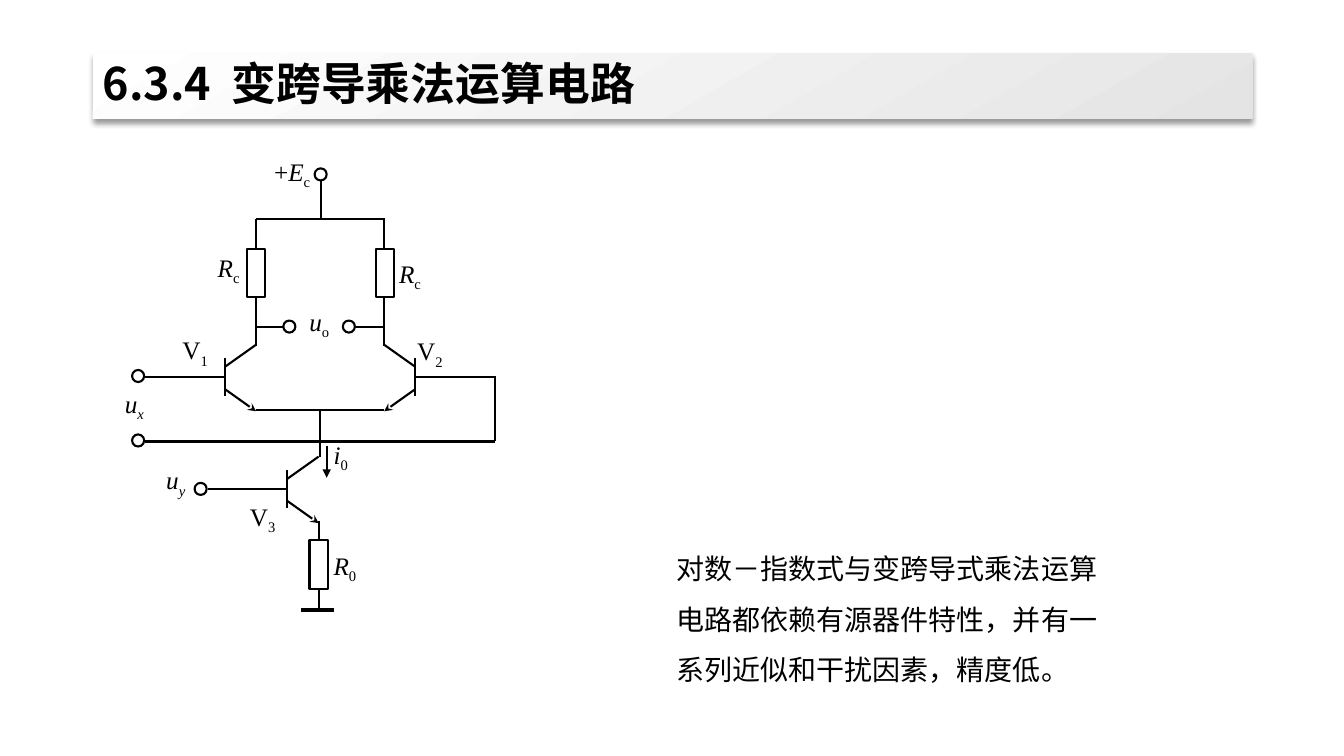
from lxml import etree
from pptx import Presentation
from pptx import util as u
from pptx.dml.color import RGBColor
from pptx.enum import shapes, text
from pptx.oxml import parse_xml
from pptx.oxml.ns import qn

COLORS = {"ink": "000000", "light": "FFFFFF", "grey": "E4E4E4"}
INK = RGBColor.from_string(COLORS["ink"])
CHINESE, LATIN = "Noto Sans CJK SC", "Times New Roman"

deck = Presentation()
deck.slide_width, deck.slide_height = u.Inches(13.33), u.Inches(7.5)
page = deck.slides.add_slide(deck.slide_layouts[6])


def style(para, face, size):
    para.font.name = face
    para.font.size = u.Pt(size)
    para.font.color.rgb = INK
    properties = para.font._element
    etree.SubElement(properties, qn("a:ea")).set("typeface", face)


def wire(x1, y1, x2, y2, arrow=None, width=1.5):
    line = page.shapes.add_connector(
        shapes.MSO_CONNECTOR.STRAIGHT, *map(u.Inches, (x1, y1, x2, y2)))
    line.line.color.rgb = INK
    line.line.width = u.Pt(width)
    if arrow:
        etree.SubElement(line.line._get_or_add_ln(), qn("a:tailEnd")).set("type", arrow)
    etree.SubElement(line._element.spPr, qn("a:effectLst"))


title = page.shapes.add_shape(shapes.MSO_SHAPE.RECTANGLE, u.Inches(0.92),
                              u.Inches(0.53), u.Inches(11.5), u.Inches(0.65))
title.fill.gradient()
title.fill.gradient_angle = 300
for stop, tone in zip(title.fill.gradient_stops, ("light", "grey")):
    stop.color.rgb = RGBColor.from_string(COLORS[tone])
title.line.fill.background()
title._element.spPr.append(parse_xml(
    '<a:effectLst xmlns:a="http://schemas.openxmlformats.org/drawingml/2006/main">'
    '<a:outerShdw blurRad="50800" dist="38100" dir="5400000" algn="t" rotWithShape="0">'
    f'<a:srgbClr val="{COLORS["ink"]}"><a:alpha val="40000"/></a:srgbClr>'
    '</a:outerShdw></a:effectLst>'))
title.text_frame.vertical_anchor = text.MSO_ANCHOR.MIDDLE
para = title.text_frame.paragraphs[0]
para.alignment = text.PP_ALIGN.LEFT
para.line_spacing = 0.9
style(para, CHINESE, 32)
para.font.bold = True
for words in ("6.3.4", " ", "变跨导乘法运算电路"):
    span = para.add_run()
    span.text = words
    if words == " ":
        span._r.get_or_add_rPr().set("spc", "720")

remark = page.shapes.add_textbox(u.Inches(6.61), u.Inches(5.26), u.Inches(4.55), u.Inches(1.56))
remark.text_frame.word_wrap = False
remark.text_frame.text = "对数－指数式与变跨导式乘法运算\n电路都依赖有源器件特性，并有一\n系列近似和干扰因素，精度低。"
for para in remark.text_frame.paragraphs:
    para.line_spacing = u.Pt(36)
    style(para, CHINESE, 20)

for x, y, side in ((2.23, 3.74, 1), (4.12, 3.74, -1), (2.85, 4.85, 1)):
    end = x + 0.31 * side
    wire(x, y - 0.19, x, y + 0.19)
    wire(x, y, x - 0.79 * side, y)
    wire(x, y - 0.1, end, y - 0.32)
    wire(x, y + 0.12, end, y + 0.34, "stealth")

for x, terminal in ((2.54, 2.82), (3.81, 3.53)):
    wire(x, 2.17, x, 2.46)
    wire(x, 2.95, x, 3.43)
    wire(x, 3.24, terminal, 3.24)

for ends in (
    (3.18, 1.79, 3.18, 2.17),
    (2.54, 2.17, 3.82, 2.17),
    (2.54, 4.07, 3.81, 4.07),
    (1.44, 4.38, 4.91, 4.38),
    (4.91, 3.73, 4.91, 4.38),
    (3.17, 4.08, 3.17, 4.53),
    (3.16, 5.17, 3.16, 5.36),
    (3.16, 5.85, 3.16, 6.04),
):
    wire(*ends)
wire(3.24, 4.42, 3.24, 4.74, "triangle")
wire(2.99, 6.05, 3.31, 6.05, width=2.5)

resistors = [(x, y, 0.18, 0.48, shapes.MSO_SHAPE.RECTANGLE)
             for x, y in ((2.45, 2.47), (3.73, 2.47), (3.07, 5.36))]
terminals = [(x, y, 0.12, 0.12, shapes.MSO_SHAPE.OVAL)
             for x, y in ((3.12, 1.67), (2.81, 3.18), (3.4, 3.18),
                          (1.31, 3.67), (1.31, 4.31), (1.93, 4.79))]
for x, y, width, height, kind in resistors + terminals:
    part = page.shapes.add_shape(kind, *map(u.Inches, (x, y, width, height)))
    part.shadow.inherit = False
    part.fill.background()
    part.line.color.rgb = INK
    part.line.width = u.Pt(1.5)

for x, y, width, prefix, symbol, index in (
    (2.62, 1.5, 0.57, "+", "E", "c"),
    (2.06, 2.45, 0.75, "", "R", "c"),
    (3.86, 2.51, 0.75, "", "R", "c"),
    (3.21, 5.41, 0.75, "", "R", "0"),
    (1.71, 3.27, 1, "", "V", "1"),
    (4.04, 3.28, 1, "", "V", "2"),
    (2.38, 4.92, 1, "", "V", "3"),
    (1.14, 3.8, 1, "", "u", "x"),
    (1.55, 4.56, 1, "", "u", "y"),
    (2.97, 2.99, 1, "", "u", "o"),
    (3.21, 4.31, 0.75, "", "i", "0"),
):
    label = page.shapes.add_textbox(*map(u.Inches, (x, y, width, 0.65)))
    label.text_frame.word_wrap = True
    para = label.text_frame.paragraphs[0]
    para.alignment = text.PP_ALIGN.JUSTIFY
    style(para, LATIN, 18)
    if prefix:
        para.add_run().text = prefix
    span = para.add_run()
    span.text = symbol
    span.font.italic = symbol != "V"
    span = para.add_run()
    span.text = index
    span.font.italic = index in "xy"
    span._r.get_or_add_rPr().set("baseline", "-25000")

deck.save("out.pptx")
